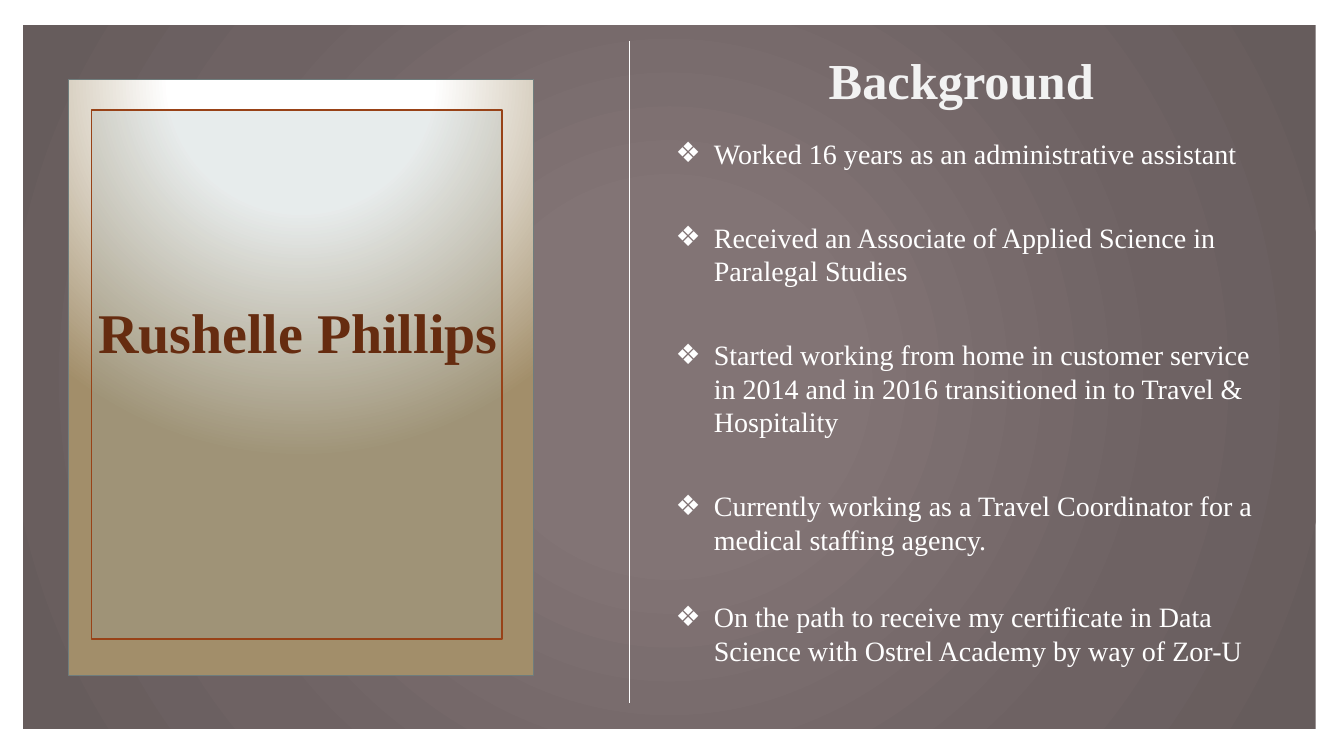
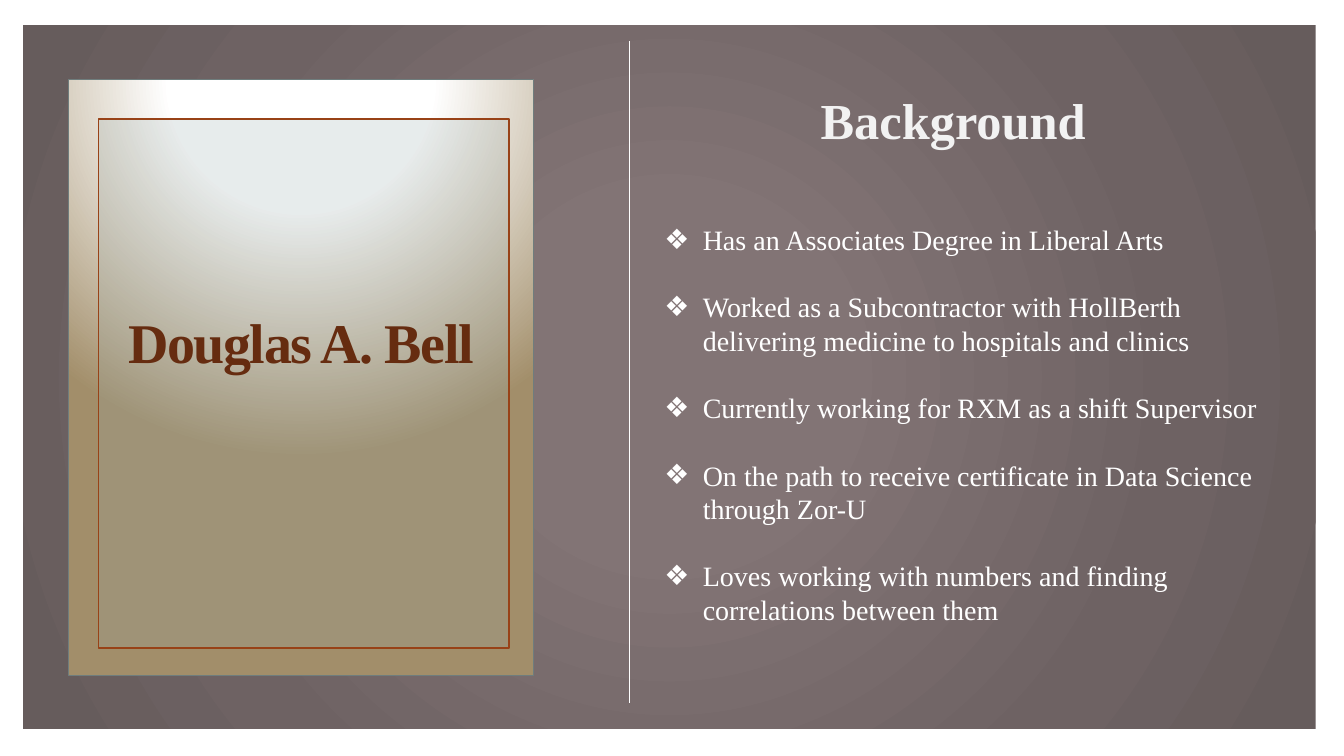
from dataclasses import dataclass

from lxml import etree
from pptx import Presentation
from pptx import util as u
from pptx.dml.color import RGBColor
from pptx.enum import shapes, text
from pptx.oxml import ns

WHITE = RGBColor(0xFF, 0xFF, 0xFF)
HEADING = RGBColor(0xF2, 0xF2, 0xF2)
RUST = RGBColor(0x66, 0x2C, 0x10)
FRAME_LINE = RGBColor(0x98, 0x42, 0x17)
FRAME_FILL = RGBColor(0x96, 0xA9, 0xA9)
CARD_LINE = RGBColor(0x6F, 0x7D, 0x7D)
TAN = RGBColor(0xA2, 0x8E, 0x6A)
MAUVE = RGBColor(0x82, 0x74, 0x75)
MAUVE_MID = RGBColor(0x6E, 0x62, 0x63)
MAUVE_DARK = RGBColor(0x66, 0x5C, 0x5C)

PANEL_STOPS = [(0, MAUVE), (23, MAUVE), (69, MAUVE_MID), (97, MAUVE_DARK)]
CARD_STOPS = [(0, WHITE), (35, WHITE), (100, TAN)]
FONT = "Times New Roman"
LIST_RIGHT = 12.71
HANGING = 0.38


@dataclass
class Profile:
    name: str
    name_box: tuple
    name_spacing: float
    name_tracking: int
    frame_corner: tuple
    heading_corner: tuple
    list_box: tuple
    facts: list
    gaps: list


PROFILES = [
    Profile(
        "Rushelle Phillips", (0.74, 2.9, 4.43, 0.77), 1.0, 0,
        (0.91, 1.09), (6.92, 0.44), (6.6, 1.3, 5.5),
        [
            "Worked 16 years as an administrative assistant",
            "Received an Associate of Applied Science in Paralegal Studies",
            "Started working from home in customer service in 2014 and in 2016 "
            "transitioned in to Travel & Hospitality",
            "Currently working as a Travel Coordinator for a medical staffing agency.",
            "On the path to receive my certificate in Data Science with "
            "Ostrel Academy by way of Zor-U",
        ],
        [0, 36, 36, 36, 31],
    ),
    Profile(
        "Douglas A. Bell", (0.95, 2.64, 4.07, 1.6), 0.83, -100,
        (0.98, 1.18), (6.84, 0.83), (6.49, 2.16, 4.65),
        [
            "Has an Associates Degree in Liberal Arts",
            "Worked as a Subcontractor with HollBerth delivering medicine to "
            "hospitals and clinics",
            "Currently working for RXM as a shift Supervisor",
            "On the path to receive certificate in Data Science through Zor-U",
            "Loves working with numbers and finding correlations between them",
        ],
        [0, 24, 24, 24, 24],
    ),
]


def inches(*lengths):
    return [u.Inches(length) for length in lengths]


def add_child(parent, tag, **attributes):
    child = etree.SubElement(parent, ns.qn(tag))
    for key, value in attributes.items():
        child.set(key, str(value))
    return child


def fill_radial(shape, stops, focus):
    shape.fill.background()
    properties = shape.element.spPr
    gradient = etree.Element(ns.qn("a:gradFill"), rotWithShape="1")
    stop_list = add_child(gradient, "a:gsLst")
    for position, color in stops:
        stop = add_child(stop_list, "a:gs", pos=position * 1000)
        add_child(stop, "a:srgbClr", val=color)
    circle = add_child(gradient, "a:path", path="circle")
    sides = {side: share * 1000 for side, share in zip("ltrb", focus)}
    add_child(circle, "a:fillToRect", **sides)
    properties.replace(properties.find(ns.qn("a:noFill")), gradient)


def add_rectangle(slide, box, line=None):
    rectangle = slide.shapes.add_shape(shapes.MSO_SHAPE.RECTANGLE, *inches(*box))
    rectangle.shadow.inherit = False
    if line is None:
        rectangle.line.fill.background()
    else:
        rectangle.line.color.rgb = line
        rectangle.line.width = u.Pt(1)
    return rectangle


def add_backdrop(slide):
    panel = add_rectangle(slide, (0.23, 0.25, 12.82, 6.98))
    fill_radial(panel, PANEL_STOPS, (50, 50, 50, 50))
    card = add_rectangle(slide, (0.68, 0.79, 4.61, 5.91), CARD_LINE)
    fill_radial(card, CARD_STOPS, (50, -80, 50, 180))


def add_frame(slide, corner):
    frame = add_rectangle(slide, (*corner, 4.07, 5.25), FRAME_LINE)
    frame.fill.solid()
    frame.fill.fore_color.rgb = FRAME_FILL
    tint = frame.element.spPr.find(ns.qn("a:solidFill"))[0]
    add_child(tint, "a:alpha", val=22000)


def add_divider(slide):
    divider = slide.shapes.add_connector(
        shapes.MSO_CONNECTOR.STRAIGHT, *inches(6.24, 0.41, 6.24, 6.97))
    divider.line.color.rgb = WHITE
    divider.line.width = u.Pt(0.5)
    add_child(divider.element.spPr, "a:effectLst")


def add_run(paragraph, words, size, color, bold=False):
    run = paragraph.add_run()
    run.text = words
    run.font.name = FONT
    run.font.size = u.Pt(size)
    run.font.color.rgb = color
    run.font.bold = bold
    return run


def place(holder, box, anchor):
    holder.left, holder.top, holder.width, holder.height = inches(*box)
    frame = holder.text_frame
    frame.word_wrap = True
    frame.auto_size = text.MSO_AUTO_SIZE.NONE
    frame.vertical_anchor = anchor
    tree = holder.element.getparent()
    tree.append(holder.element)
    return frame


def add_heading(slide, corner):
    heading = slide.shapes.add_textbox(*inches(*corner, 5.23, 0.71))
    heading.text_frame.word_wrap = True
    paragraph = heading.text_frame.paragraphs[0]
    paragraph.alignment = text.PP_ALIGN.CENTER
    add_run(paragraph, "Background", 36, HEADING, True)


def fill_name(slide, profile):
    frame = place(slide.shapes.title, profile.name_box, text.MSO_ANCHOR.MIDDLE)
    paragraph = frame.paragraphs[0]
    paragraph.alignment = text.PP_ALIGN.CENTER
    paragraph.line_spacing = profile.name_spacing
    run = add_run(paragraph, profile.name, 40, RUST, True)
    run.font._element.set("spc", str(profile.name_tracking))


def fill_facts(slide, profile):
    left, top, height = profile.list_box
    box = (left, top, LIST_RIGHT - left, height)
    frame = place(slide.placeholders[1], box, text.MSO_ANCHOR.TOP)
    for index, (fact, gap) in enumerate(zip(profile.facts, profile.gaps)):
        paragraph = frame.add_paragraph() if index else frame.paragraphs[0]
        paragraph.line_spacing = u.Pt(24)
        paragraph.space_before = u.Pt(gap)
        paragraph.space_after = u.Pt(0)
        properties = paragraph._p.get_or_add_pPr()
        properties.set("marL", str(u.Inches(HANGING)))
        properties.set("indent", str(-u.Inches(HANGING)))
        bullet_color = add_child(properties, "a:buClr")
        add_child(bullet_color, "a:srgbClr", val=WHITE)
        add_child(properties, "a:buChar", char="❖")
        add_run(paragraph, fact, 20, WHITE)


def add_profile(deck, profile):
    slide = deck.slides.add_slide(deck.slide_layouts[1])
    add_backdrop(slide)
    add_frame(slide, profile.frame_corner)
    fill_facts(slide, profile)
    add_divider(slide)
    add_heading(slide, profile.heading_corner)
    fill_name(slide, profile)


def main():
    deck = Presentation()
    deck.slide_width, deck.slide_height = inches(13.33, 7.5)
    backdrop = deck.slide_master.background.fill
    backdrop.solid()
    backdrop.fore_color.rgb = WHITE
    for profile in PROFILES:
        add_profile(deck, profile)
    deck.save("out.pptx")


if __name__ == "__main__":
    main()
